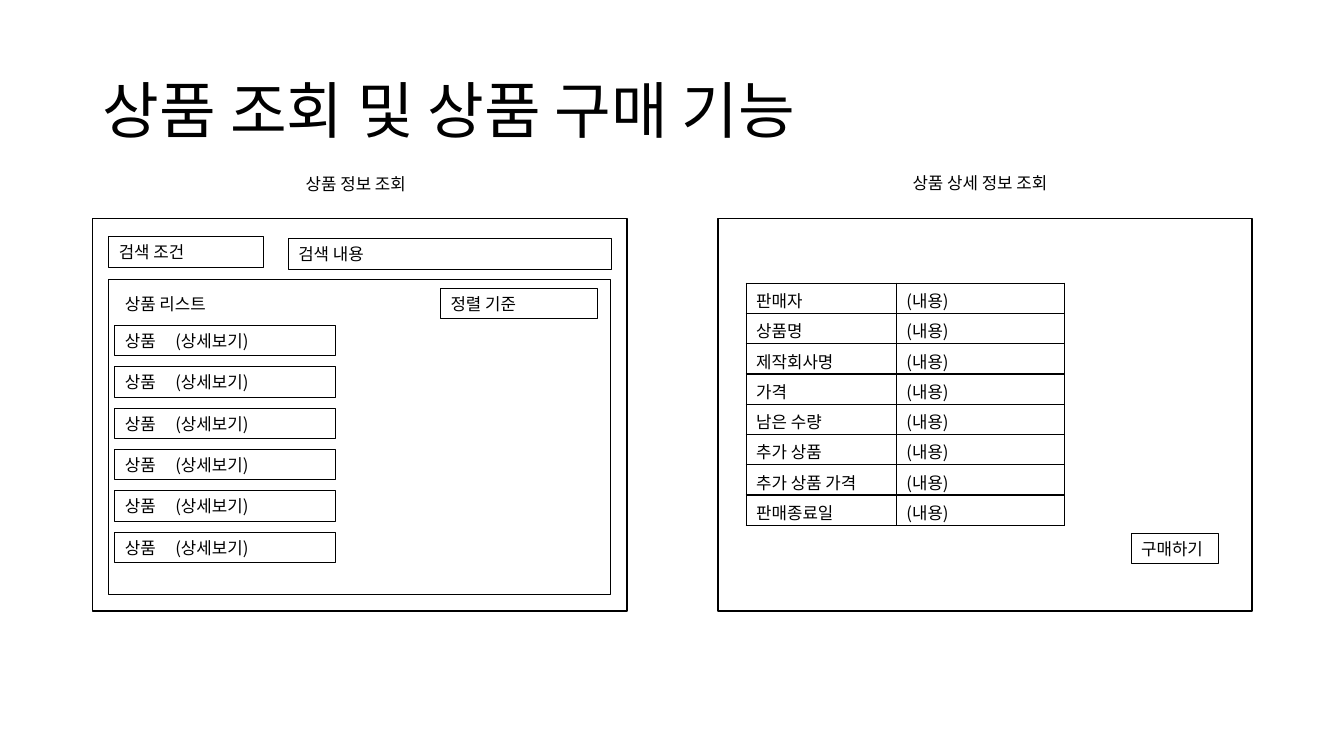
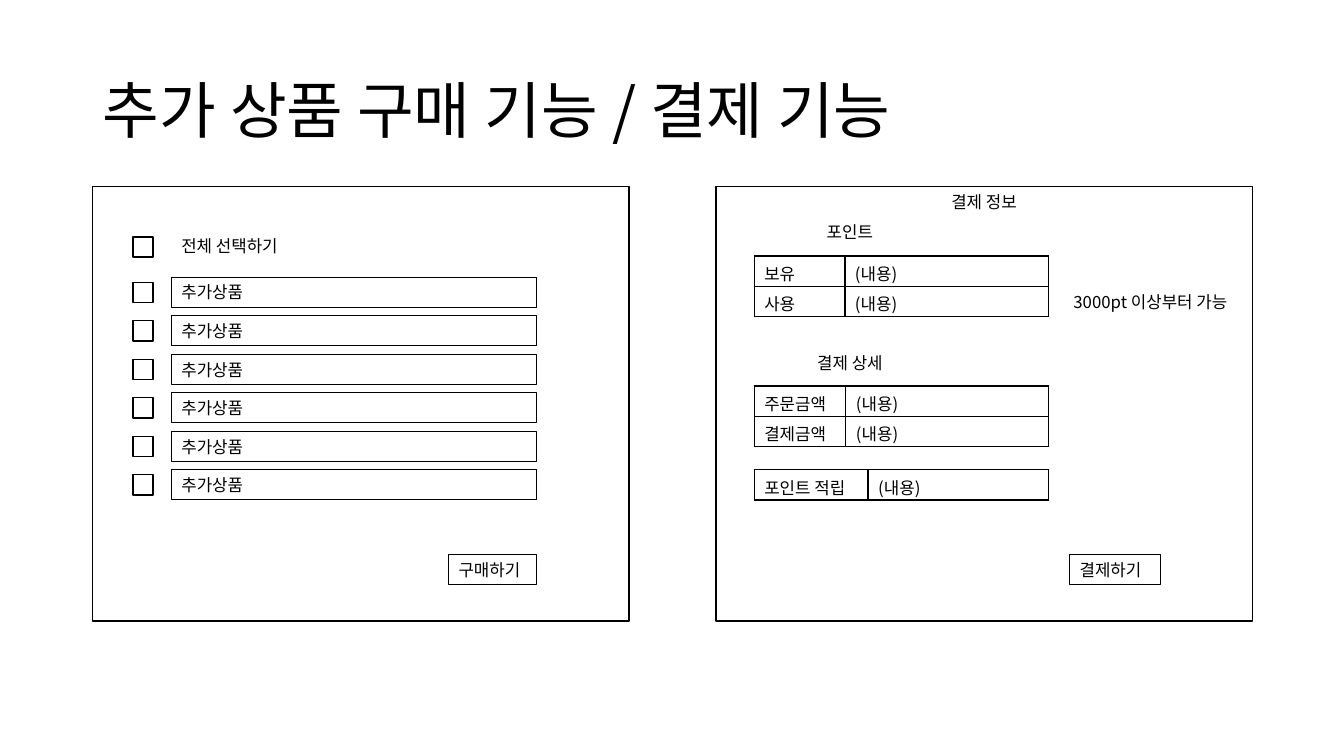
from lxml.etree import SubElement
from pptx import Presentation
from pptx.dml.color import RGBColor
from pptx.enum.shapes import MSO_SHAPE
from pptx.enum.text import MSO_ANCHOR, MSO_AUTO_SIZE, PP_ALIGN
from pptx.oxml import parse_xml
from pptx.oxml.ns import nsdecls, qn
from pptx.util import Emu, Inches, Pt

COLORS = {"ink": "000000", "paper": "FFFFFF"}
INK = RGBColor.from_string(COLORS["ink"])
FONT = "Noto Sans CJK KR"
CELL = Inches(0.1)  # grid unit: every place and size below counts these
ROW = 3             # height of a text line, field or table row
FRAME = {"width": Pt(1)}
FIELD = {"width": Pt(0.75)}
LEFT, CENTER = PP_ALIGN.LEFT, PP_ALIGN.CENTER
FRAME_FORMAT = {"word_wrap": True, "auto_size": MSO_AUTO_SIZE.NONE,
                "vertical_anchor": MSO_ANCHOR.MIDDLE}
TABLE_FORMAT = {"first_row": False, "horz_banding": False}
CELL_FORMAT = {"margin_top": Inches(0.05), "margin_bottom": 0,
               "vertical_anchor": MSO_ANCHOR.TOP}
BORDER = ('<a:{} {} w="12700"><a:solidFill><a:srgbClr val="{}"/>'
          '</a:solidFill></a:{}>')


def write(tf, text, size=12, align=LEFT):
    """Put one formatted run into a text frame."""
    p = tf.paragraphs[0]
    p.alignment = align
    r = p.add_run()
    r.text = text
    for name, value in {"size": Pt(size), "name": FONT}.items():
        setattr(r.font, name, value)
    r.font.color.rgb = INK
    SubElement(r.font._element, qn("a:ea")).set("typeface", FONT)
    return p


def box(s, at, text="", line=None, align=LEFT):
    """Draw an outlined rectangle, or a plain label when line is None."""
    place = [Emu(int(n * CELL)) for n in at]
    if line:
        sp = s.shapes.add_shape(MSO_SHAPE.RECTANGLE, *place)
        sp.shadow.inherit = False
        sp.fill.background()
        sp.line.color.rgb = INK
        for name, value in line.items():
            setattr(sp.line, name, value)
    else:
        sp = s.shapes.add_textbox(*place)
    tf = sp.text_frame
    for name, value in FRAME_FORMAT.items():
        setattr(tf, name, value)
    tf.margin_top = tf.margin_bottom = 0
    if text:
        write(tf, text, align=align)


prs = Presentation()
prs.slide_width, prs.slide_height = Inches(13.33), Inches(7.5)

# Slides with their titles and the two screen frames
screens = [
    ("상품 조회 및 상품 구매 기능", (21.7, 53, 38.9)),
    ("추가 상품 구매 기능 / 결제 기능", (18.5, 53.2, 43.1)),
]
slides = []
for title, (top, width, height) in screens:
    s = prs.slides.add_slide(prs.slide_layouts[5])
    s.background.fill.solid()
    s.background.fill.fore_color.rgb = RGBColor.from_string(COLORS["paper"])
    sp = s.shapes.title
    place = {"left": 9.2, "top": 4, "width": 115, "height": 14.5}
    for name, value in place.items():
        setattr(sp, name, Emu(int(value * CELL)))
    for name, value in FRAME_FORMAT.items():
        setattr(sp.text_frame, name, value)
    write(sp.text_frame, title, 44).line_spacing = 0.9
    for left in (9.2, 124.2 - width):
        box(s, (left, top, width, height), line=FRAME)
    slides.append(s)
browse, pay = slides

# Slide 1: product search and list
box(browse, (8.3, 16.7, 54, ROW), "상품 정보 조회", align=CENTER)
box(browse, (70.2, 16.6, 54, ROW), "상품 상세 정보 조회", align=CENTER)
box(browse, (10.8, 27.7, 49.8, 31.3), line=FIELD)
box(browse, (11.4, 28.6, 17, ROW), "상품 리스트")
fields = [
    ((10.8, 23.5, 15.3, ROW), "검색 조건"),
    ((28.6, 23.7, 32.1, ROW), "검색 내용"),
    ((43.7, 28.6, 15.6, ROW), "정렬 기준"),
    ((112.2, 52.9, 8.7, ROW), "구매하기"),
]
fields += [((11.4, 32.3 + 4.1 * i, 21.9, ROW), "상품 \t(상세보기)")
           for i in range(6)]
for at, text in fields:
    box(browse, at, text, FIELD)

# Slide 2: extra products with check boxes
box(pay, (13.2, 23.5, 2, 2), line=FRAME)
box(pay, (17, 22.9, 26.6, ROW), "전체 선택하기")
for i in range(6):
    top = 27.5 + 3.82 * i
    box(pay, (13.2, top + 0.5, 2, 2), line=FRAME)
    box(pay, (17, top, 36.2, ROW), "추가상품", FIELD)

# Slide 2: payment labels and buttons
for at, text in [
    ((71, 18.5, 53.2, ROW), "결제 정보"),
    ((71, 21.5, 26.6, ROW), "포인트"),
    ((104, 28.4, 20.2, ROW), "3000pt 이상부터 가능"),
    ((71, 34.5, 26.6, ROW), "결제 상세"),
]:
    box(pay, at, text, align=CENTER)
box(pay, (44.5, 55, 8.7, ROW), "구매하기", FIELD)
box(pay, (106.1, 55, 9, ROW), "결제하기", FIELD)

# Tables: slide, left, top, column widths, row names
tables = [
    (browse, 74, 28.1, (14.9, 16.7),
     ["판매자", "상품명", "제작회사명", "가격", "남은 수량",
      "추가 상품", "추가 상품 가격", "판매종료일"]),
    (pay, 74.8, 25.4, (9, 20.2), ["보유", "사용"]),
    (pay, 74.8, 38.3, (9.1, 20.1), ["주문금액", "결제금액"]),
    (pay, 74.8, 46.6, (11.3, 17.9), ["포인트 적립"]),
]
for s, left, top, widths, names in tables:
    place = [Emu(int(n * CELL))
             for n in (left, top, sum(widths), ROW * len(names))]
    table = s.shapes.add_table(len(names), len(widths), *place).table
    for name, value in TABLE_FORMAT.items():
        setattr(table, name, value)
    for column, width in zip(table.columns, widths):
        column.width = Emu(int(width * CELL))
    for i, label in enumerate(names):
        for j, text in enumerate((label, "(내용)")):
            cell = table.cell(i, j)
            for name, value in CELL_FORMAT.items():
                setattr(cell, name, value)
            write(cell.text_frame, text)
            tcPr = cell._tc.get_or_add_tcPr()
            for side in ("lnL", "lnR", "lnT", "lnB"):
                tcPr.append(parse_xml(BORDER.format(
                    side, nsdecls("a"), COLORS["ink"], side)))
            cell.fill.background()

prs.save("out.pptx")
